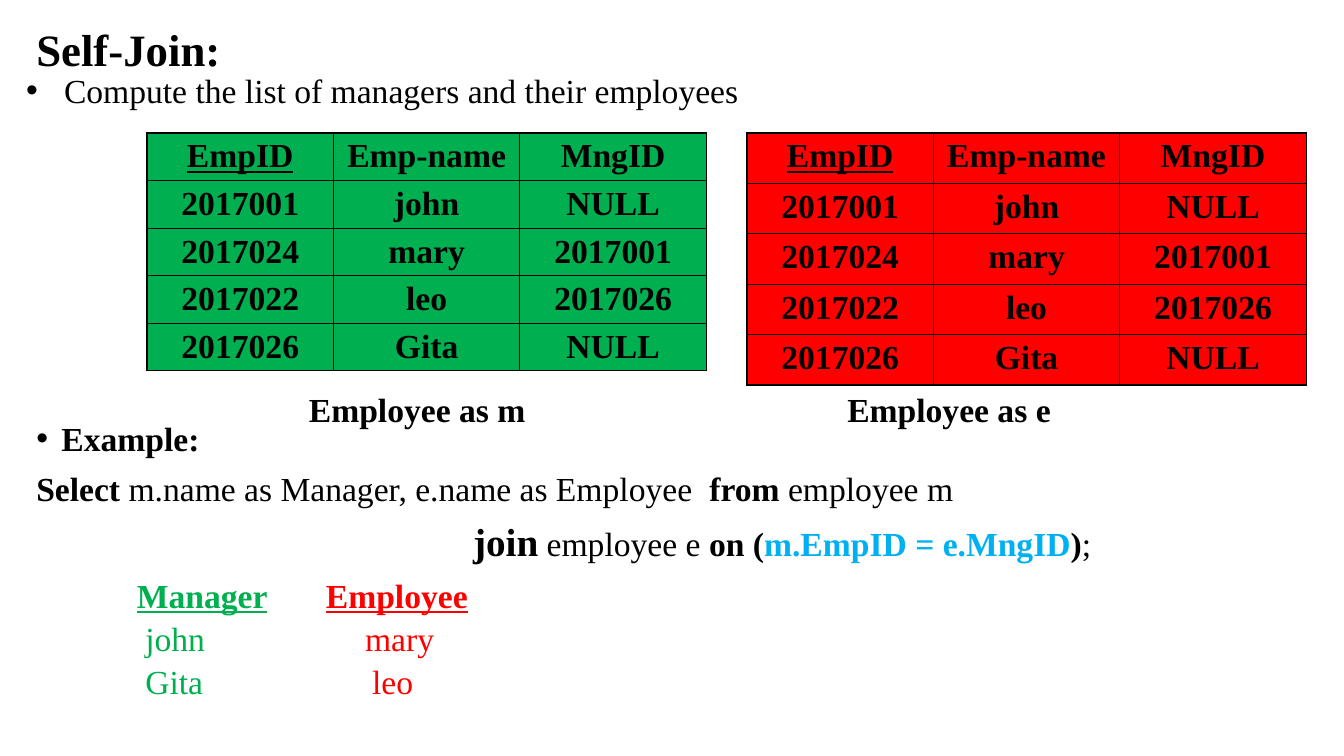
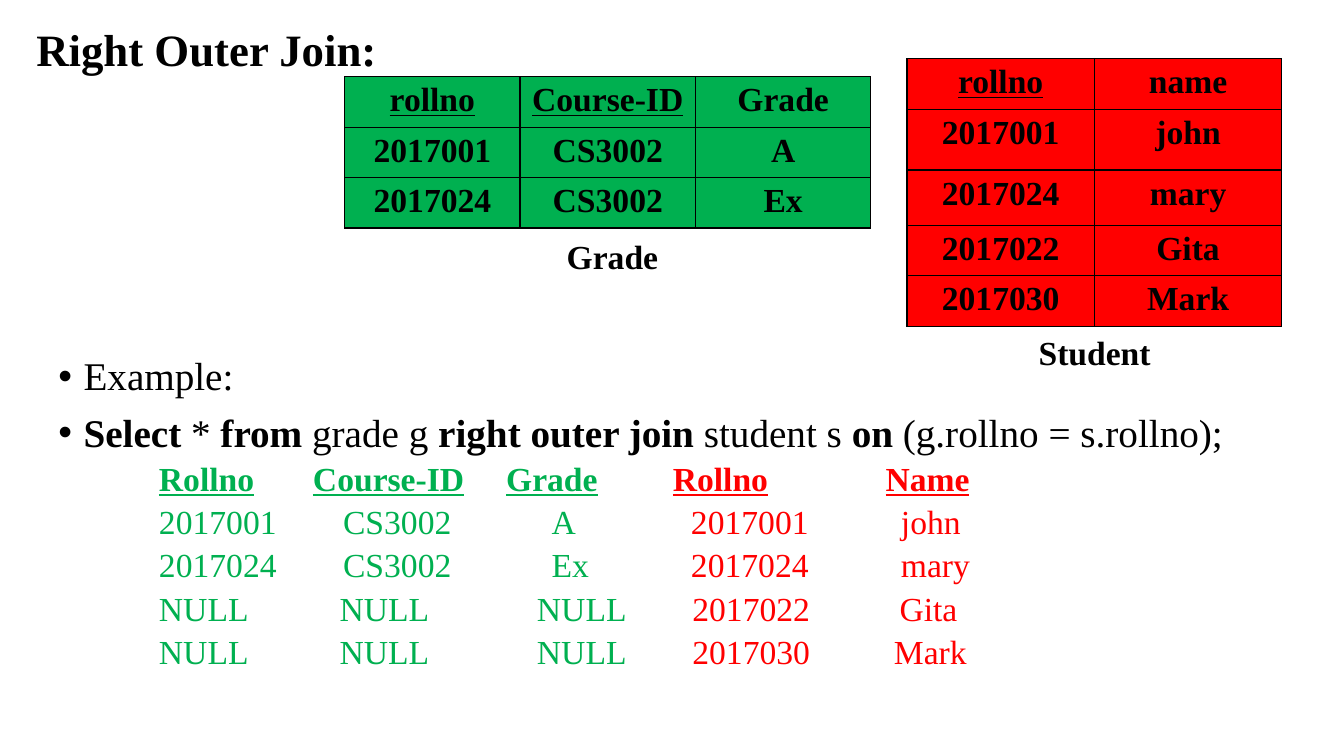
from pptx import Presentation
from pptx.dml.color import RGBColor
from pptx.enum.text import MSO_ANCHOR, MSO_AUTO_SIZE, PP_ALIGN
from pptx.oxml.ns import qn
from pptx.util import Pt
from lxml.etree import SubElement

FONT = "Times New Roman"
BLACK, GREEN, RED, BLUE = "000000", "00B050", "FF0000", "00B0F0"
BOLD = {"bold": True}
KEY_COLUMNS = {"EmpID", "rollno", "Course-ID"}

EMPLOYEES = [
    ("EmpID", "Emp-name", "MngID"),
    ("2017001", "john", "NULL"),
    ("2017024", "mary", "2017001"),
    ("2017022", "leo", "2017026"),
    ("2017026", "Gita", "NULL"),
]
GRADES = [
    ("rollno", "Course-ID", "Grade"),
    ("2017001", "CS3002", "A"),
    ("2017024", "CS3002", "Ex"),
]
STUDENTS = [
    ("rollno", "name"),
    ("2017001", "john"),
    ("2017024", "mary"),
    ("2017022", "Gita"),
    ("2017030", "Mark"),
]


def line(*spans, size=24, bullet=False, margin=0, before=10, spacing=0.9):
    return {"spans": spans, "size": size, "bullet": bullet, "margin": margin,
            "before": before, "spacing": spacing, "stops": ()}


def result_row(left_cells, right_cells, header=False):
    style = {"bold": header, "underline": header}
    left_text = "".join(text + "\t" for _, text in left_cells)
    right_text = "\t".join(text for _, text in right_cells)
    row = line(("\t", {}), (left_text, {**style, "color": GREEN}),
               (right_text, {**style, "color": RED}), before=5)
    row["stops"] = [stop for stop, _ in left_cells + right_cells]
    return row


def grade_row(stops, texts, header=False):
    cells = list(zip(stops, texts))
    return result_row(cells[:3], cells[3:], header)


MATCHED = (72, 203.5, 352.5, 452, 602)
UNMATCHED = (72, 201, 342, 453, 601)

SLIDES = [
    {
        "layout": 3,
        "title": "Self-Join:",
        "lists": [
            ((11.5, 46, 759, 40), [
                line(("Compute the list of managers and their employees", {}),
                     bullet=True, margin=27, spacing=1),
            ]),
            ((18.7, 298, 914, 112), [
                line(("Example:", BOLD), bullet=True, margin=18),
                line(("Select", BOLD),
                     (" m.name as Manager, e.name as Employee  ", {}),
                     ("from", BOLD), (" employee m", {})),
                line(("join", {"bold": True, "size": 28}), (" employee e ", {}),
                     ("on (", BOLD),
                     ("m.EmpID = e.MngID", {"bold": True, "color": BLUE}),
                     (")", BOLD), (";", {}), margin=312),
            ]),
        ],
        "results": ((18.7, 410.2, 914, 110), [
            result_row([(72, "Manager")],
                       [(182, ""), (207, "Employee"), (320, "")], header=True),
            result_row([(78, "john")], [(235, "mary")]),
            result_row([(78, "Gita")], [(240, "leo")]),
        ]),
        "tables": [
            (EMPLOYEES, GREEN, (105, 95), 133.2, [34] * 5),
            (EMPLOYEES, RED, (533.5, 95), 133.2, [36] * 5),
        ],
        "captions": [("Employee as m", 205.5, 274.3), ("Employee as e", 585.4, 274.3)],
    },
    {
        "layout": 1,
        "title": "Right Outer Join:",
        "lists": [
            ((34.5, 251.3, 914, 75), [
                line(("Example:", {}), size=28, bullet=True, margin=18),
                line(("Select", BOLD), (" * ", {}), ("from", BOLD),
                     (" grade g ", {}), ("right outer join", BOLD),
                     (" student s ", {}), ("on", BOLD),
                     (" (g.rollno = s.rollno);", {}),
                     size=28, bullet=True, margin=18),
            ]),
        ],
        "results": ((34.5, 326.7, 914, 170), [
            grade_row((72, 182, 320, 439, 591),
                      ("Rollno", "Course-ID", "Grade", "Rollno", "Name"), True),
            grade_row(MATCHED, ("2017001", "CS3002", "A", "2017001", "john")),
            grade_row(MATCHED, ("2017024", "CS3002", "Ex", "2017024", "mary")),
            grade_row(UNMATCHED, ("NULL", "NULL", "NULL", "2017022", "Gita")),
            grade_row((*UNMATCHED[:4], 597),
                      ("NULL", "NULL", "NULL", "2017030", "Mark")),
        ]),
        "tables": [
            (GRADES, GREEN, (246.2, 54.8), 125.3, [36] * 3),
            (STUDENTS, RED, (647.8, 42), 133.9, [36, 43.5, 39.5, 36, 36]),
        ],
        "captions": [("Student", 689.4, 233.3), ("Grade", 345, 165.2)],
    },
]


def rgb(value):
    return RGBColor.from_string(value)


def set_font(font, size=None, bold=None, underline=None, color=None):
    if size:
        font.size = Pt(size)
    if bold is not None:
        font.bold = bold
    if underline is not None:
        font.underline = underline
    if color:
        font.color.rgb = rgb(color)


def set_base_font(paragraph, size, bold=False, underline=False):
    paragraph.font.name = FONT
    set_font(paragraph.font, size, bold, underline, BLACK)


def place(box, left, top, width, height):
    box.left, box.top, box.width, box.height = map(Pt, (left, top, width, height))
    frame = box.text_frame
    frame.word_wrap = True
    frame.auto_size = MSO_AUTO_SIZE.NONE
    frame.vertical_anchor = MSO_ANCHOR.TOP
    return frame


def add_title(page, text):
    frame = place(page.shapes.title, 18.7, 16.3, 394, 55)
    frame.text = text
    para = frame.paragraphs[0]
    para.alignment = PP_ALIGN.LEFT
    para.line_spacing = 0.9
    set_base_font(para, 32, bold=True)


def set_indent(para, item):
    properties = para._p.get_or_add_pPr()
    if item["stops"]:
        tabs = SubElement(properties, qn("a:tabLst"))
        for stop in item["stops"]:
            SubElement(tabs, qn("a:tab"), pos=str(Pt(stop)), algn="l")
        return
    margin = Pt(item["margin"])
    properties.set("marL", str(margin))
    properties.set("indent", str(-margin if item["bullet"] else 0))
    if item["bullet"]:
        SubElement(properties, qn("a:buFont"), typeface="Arial")
        SubElement(properties, qn("a:buChar"), char="•")
    else:
        SubElement(properties, qn("a:buNone"))


def fill_lines(box, bounds, items):
    frame = place(box, *bounds)
    for index, item in enumerate(items):
        para = frame.add_paragraph() if index else frame.paragraphs[0]
        set_indent(para, item)
        para.line_spacing = item["spacing"]
        para.space_before = Pt(item["before"] if index else 0)
        set_base_font(para, item["size"])
        for text, style in item["spans"]:
            span = para.add_run()
            span.text = text
            set_font(span.font, **style)


def add_box(page, bounds):
    return page.shapes.add_textbox(*map(Pt, bounds))


def add_borders(cell):
    properties = cell._tc.get_or_add_tcPr()
    for side in ("lnL", "lnR", "lnT", "lnB"):
        border = SubElement(properties, qn(f"a:{side}"), w=str(Pt(1)))
        fill = SubElement(border, qn("a:solidFill"))
        SubElement(fill, qn("a:srgbClr"), val=BLACK)


def add_data_table(page, rows, color, corner, column_width, heights):
    columns = len(rows[0])
    left, top = corner
    table = page.shapes.add_table(
        len(rows), columns, Pt(left), Pt(top),
        Pt(column_width * columns), Pt(sum(heights))).table
    table.first_row = table.horz_banding = False
    for column in table.columns:
        column.width = Pt(column_width)
    for row, height, texts in zip(table.rows, heights, rows):
        row.height = Pt(height)
        for cell, text in zip(row.cells, texts):
            add_borders(cell)
            cell.fill.solid()
            cell.fill.fore_color.rgb = rgb(color)
            cell.margin_left = cell.margin_right = Pt(4)
            cell.margin_top, cell.margin_bottom = Pt(3.6), Pt(0)
            cell.text = text
            para = cell.text_frame.paragraphs[0]
            para.alignment = PP_ALIGN.CENTER
            set_base_font(para, 24, bold=True, underline=text in KEY_COLUMNS)


def add_caption(page, text, left, top):
    bounds = (left, top, 185, 36)
    frame = place(add_box(page, bounds), *bounds)
    frame.text = text
    para = frame.paragraphs[0]
    para.alignment = PP_ALIGN.CENTER
    set_base_font(para, 24, bold=True)


def main():
    deck = Presentation()
    deck.slide_width, deck.slide_height = Pt(960), Pt(540)
    for content in SLIDES:
        page = deck.slides.add_slide(deck.slide_layouts[content["layout"]])
        add_title(page, content["title"])
        bodies = list(page.placeholders)[1:]
        for body, (bounds, items) in zip(bodies, content["lists"]):
            fill_lines(body, bounds, items)
        bounds, rows = content["results"]
        fill_lines(add_box(page, bounds), bounds, rows)
        for table in content["tables"]:
            add_data_table(page, *table)
        for caption in content["captions"]:
            add_caption(page, *caption)
    deck.save("out.pptx")


if __name__ == "__main__":
    main()
